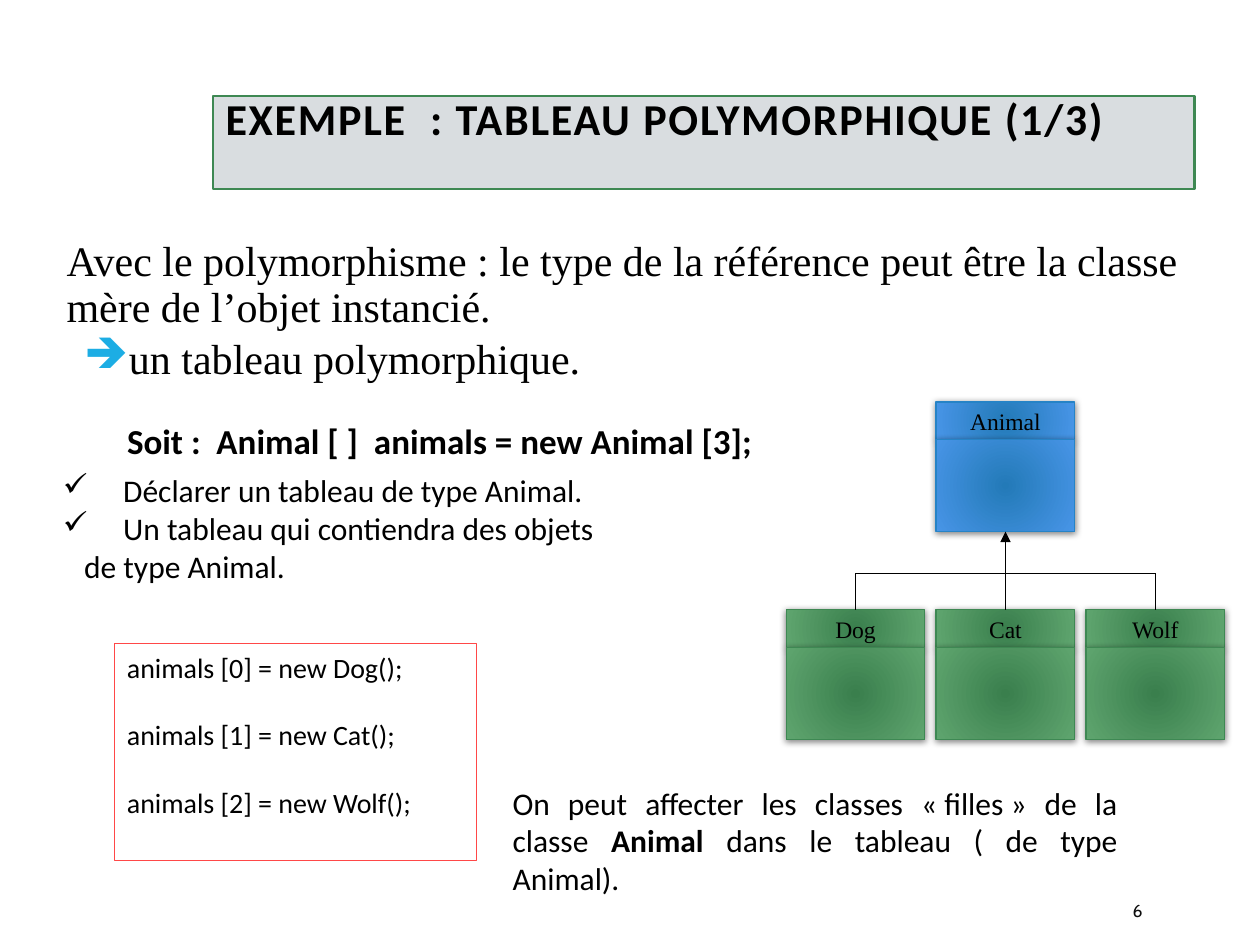
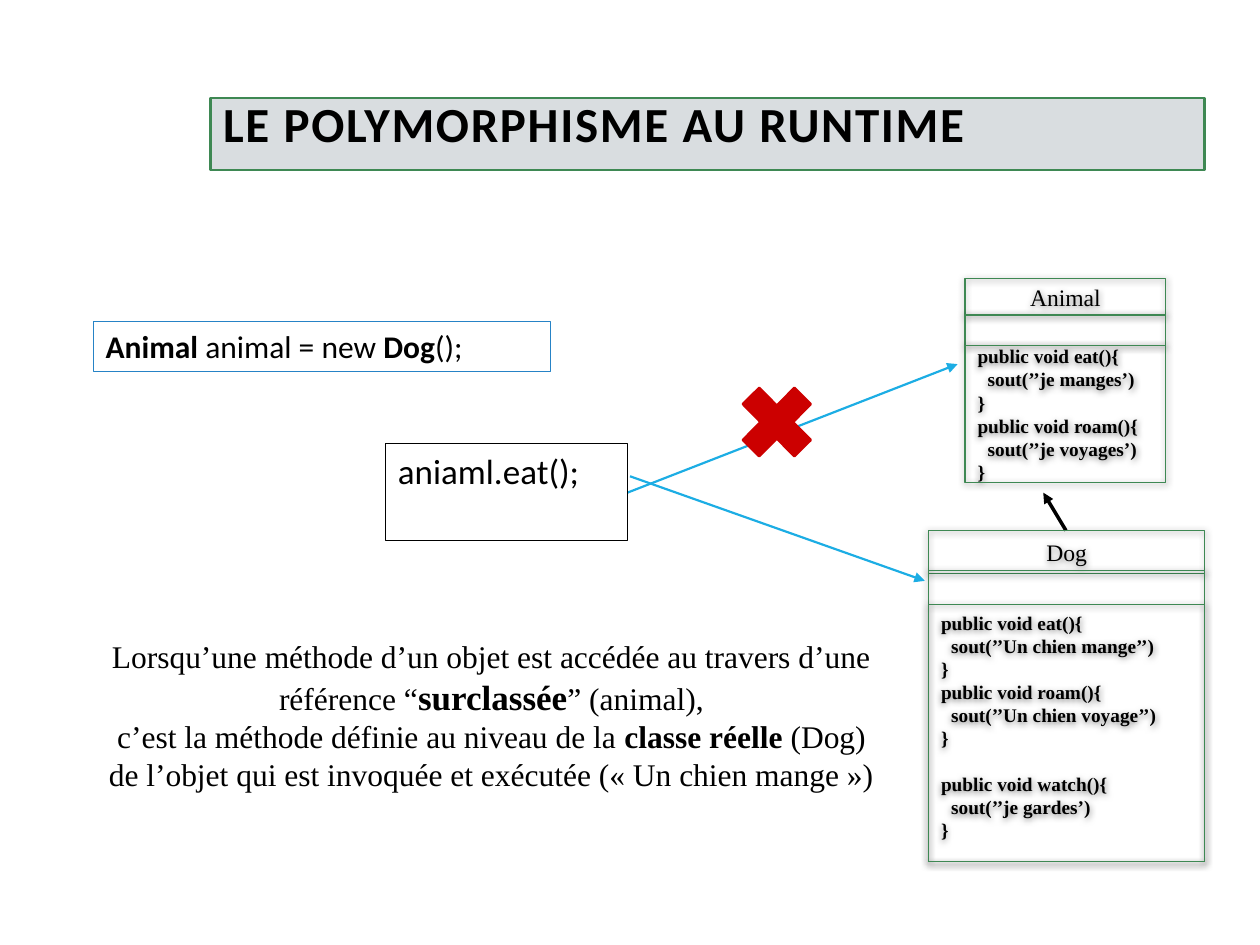
from dataclasses import dataclass

from lxml.etree import SubElement
from pptx import Presentation
from pptx.dml.color import RGBColor
from pptx.enum.shapes import MSO_CONNECTOR, MSO_SHAPE
from pptx.enum.text import MSO_ANCHOR as Anchor, MSO_AUTO_SIZE, PP_ALIGN as Align
from pptx.oxml.ns import qn
from pptx.util import Inches, Pt


@dataclass(frozen=True)
class Theme:
    black: str = "000000"
    number: str = "0D0D0D"
    grey: str = "A1ACB2"
    green: str = "3E8853"
    blue: str = "2683C6"
    cyan: str = "1CADE4"
    red: str = "FF4747"
    cross: str = "CC0000"
    green_fade: tuple = ("3A7F4D", "5FA56F")
    blue_fade: tuple = ("237AB8", "4895E7")
    sans: str = "Calibri"
    serif: str = "Times New Roman"
    number_font: str = "Cabin"
    lead: float = 24
    strong: float = 20
    body: float = 18
    sample: float = 16
    class_name: float = 13.5
    code: float = 11
    small: float = 10
    thin: float = 0.75
    medium: float = 1.25
    thick: float = 2


THEME = Theme()


def rgb(value):
    return RGBColor.from_string(value)


def inches(*values):
    return [Inches(value) for value in values]


def add_span(para, text, size, font, bold=False, color=THEME.black):
    span = para.add_run()
    span.text = text
    span.font.size = Pt(size)
    span.font.name = font
    span.font.bold = bold
    span.font.color.rgb = rgb(color)
    return span


def set_frame(box, anchor=Anchor.TOP):
    frame = box.text_frame
    frame.auto_size = MSO_AUTO_SIZE.NONE
    frame.word_wrap = True
    frame.vertical_anchor = anchor
    return frame


def write(box, paragraphs, size, font, align=Align.LEFT, anchor=Anchor.TOP,
          bold=False, color=THEME.black):
    """Each paragraph is a string or a list of (text, bold[, size]) spans."""
    frame = set_frame(box, anchor)
    for index, spans in enumerate(paragraphs):
        para = frame.add_paragraph() if index else frame.paragraphs[0]
        para.alignment = align
        if isinstance(spans, str):
            spans = [(spans, bold)]
        for text, is_bold, *own_size in spans:
            add_span(para, text, own_size[0] if own_size else size, font, is_bold, color)
    return frame.paragraphs


def indent(para, left, first=0, bullet=None, color=None):
    props = para._p.get_or_add_pPr()
    props.set("marL", str(Inches(left)))
    props.set("indent", str(Inches(first)))
    if color:
        SubElement(SubElement(props, qn("a:buClr")), qn("a:srgbClr"), val=color)
    if bullet:
        SubElement(props, qn("a:buChar"), char=bullet)


def add_text(page, place, paragraphs, size, font, **style):
    box = page.shapes.add_textbox(*inches(*place))
    return write(box, paragraphs, size, font, **style)


def add_box(shapes, place, line, width=THEME.thin, kind=MSO_SHAPE.RECTANGLE):
    box = shapes.add_shape(kind, *inches(*place))
    box.shadow.inherit = False
    box.fill.background()
    box.line.color.rgb = rgb(line)
    box.line.width = Pt(width)
    return box


def add_line(page, start, end, color=THEME.black, width=THEME.thin, arrow=False):
    line = page.shapes.add_connector(MSO_CONNECTOR.STRAIGHT, *inches(*start, *end))
    line.line.color.rgb = rgb(color)
    line.line.width = Pt(width)
    props = line._element.spPr
    if arrow:
        SubElement(props.find(qn("a:ln")), qn("a:tailEnd"), type="triangle")
    SubElement(props, qn("a:effectLst"))


def add_glow(box):
    """Soft shadow just below the box."""
    effects = box._element.spPr.find(qn("a:effectLst"))
    shadow = SubElement(effects, qn("a:outerShdw"), blurRad=str(Pt(4)),
                        dist=str(Pt(1)), dir="5400000", rotWithShape="0")
    color = SubElement(shadow, qn("a:srgbClr"), val=THEME.black)
    SubElement(color, qn("a:alpha"), val="50000")


def fade(box, colors):
    """Circular gradient."""
    box.fill.gradient()
    for stop, color in zip(box.fill.gradient_stops, colors):
        stop.color.rgb = rgb(color)
    gradient = box._element.spPr.find(qn("a:gradFill"))
    for linear in gradient.findall(qn("a:lin")):
        gradient.remove(linear)
    circle = SubElement(gradient, qn("a:path"), path="circle")
    SubElement(circle, qn("a:fillToRect"), l="100000", t="100000", r="100000", b="100000")


def add_class(page, name, left, width, rows, line=THEME.green, colors=None):
    """Class diagram: rows of (top, height), the name in the first one."""
    group = page.shapes.add_group_shape()
    boxes = []
    for top, height in rows:
        box = add_box(group.shapes, (left, top, width, height), line)
        add_glow(box)
        if colors:
            fade(box, colors)
        boxes.append(box)
    write(boxes[0], [name], THEME.class_name, THEME.serif, Align.CENTER, Anchor.MIDDLE)
    return boxes


def write_methods(box, methods, anchor):
    """Methods are (signature, statement) pairs; returns the paragraphs."""
    lines = [line for signature, statement in methods
             for line in (f"public void {signature}(){{", statement, "}")]
    paras = write(box, lines, THEME.code, THEME.serif, anchor=anchor, bold=True)
    for para in paras[1::3]:
        indent(para, 0.08)
    return paras


def add_page(deck, title, place, size):
    page = deck.slides.add_slide(deck.slide_layouts[5])
    band = page.shapes.title
    band.left, band.top, band.width, band.height = inches(*place)
    band.fill.solid()
    band.fill.fore_color.rgb = rgb(THEME.grey)
    color = band._element.spPr.find(qn("a:solidFill"))[0]
    SubElement(color, qn("a:alpha"), val="40000")
    band.line.color.rgb = rgb(THEME.green)
    band.line.width = Pt(THEME.medium)
    para = set_frame(band).paragraphs[0]
    para.alignment = Align.LEFT
    para.line_spacing = 0.8
    span = add_span(para, title, size, THEME.sans, True)
    span._r.get_or_add_rPr().set("spc", "100")
    return page


def build_array_page(deck):
    page = add_page(deck, "EXEMPLE  : TABLEAU POLYMORPHIQUE (1/3)",
                    (1.69, 0.76, 7.79, 0.74), 25.2)

    # Introduction
    intro = add_text(page, (0.43, 1.86, 9.1, 1.36), [
        "Avec le polymorphisme : le type de la référence peut être la classe "
        "mère de l’objet instancié.",
        "un tableau polymorphique."], THEME.lead, THEME.serif)
    for para in intro:
        para.line_spacing = 0.9
    intro[1].space_before = Pt(4)
    indent(intro[1], 0.29, -0.15, "➔", THEME.cyan)

    add_text(page, (8.89, 7.08, 0.8, 0.3), ["6"], THEME.small, THEME.number_font,
             anchor=Anchor.MIDDLE, color=THEME.number)

    # Declaration of the array
    add_text(page, (0.91, 3.28, 5.92, 0.44),
             ["Soit :  Animal [ ]  animals = new Animal [3];"],
             THEME.strong, THEME.sans, bold=True)

    # Class hierarchy
    width, header, body, step = 1.1, 0.3, 0.73, 1.19
    first, parent_top, child_top, bar = 6.24, 3.19, 4.84, 4.55

    def rows(top):
        return [(top, header), (top + header, body)]

    add_class(page, "Animal", first + step, width, rows(parent_top),
              THEME.blue, THEME.blue_fade)
    centers = [first + column * step + width / 2 for column in range(3)]
    for column, name in enumerate(("Dog", "Cat", "Wolf")):
        add_class(page, name, first + column * step, width, rows(child_top),
                  colors=THEME.green_fade)
        add_line(page, (centers[column], child_top), (centers[column], bar))
    add_line(page, (centers[2], bar), (centers[0], bar))
    add_line(page, (centers[1], bar), (centers[1], parent_top + header + body), arrow=True)

    # What the declaration does
    points = add_text(page, (0.4, 3.69, 7.13, 1.01), [
        "Déclarer un tableau de type Animal.",
        "Un tableau qui contiendra des objets",
        "de type Animal."], THEME.body, THEME.sans, align=Align.JUSTIFY)
    for para in points[:2]:
        indent(para, 0.48, -0.48, "✓")
    indent(points[2], 0.17)

    # Filling the array
    sample = add_box(page.shapes, (0.91, 5.11, 2.87, 1.72), THEME.red)
    lines = [f"animals [{index}] = new {name}();"
             for index, name in enumerate(("Dog", "Cat", "Wolf"))]
    for para in write(sample, lines, THEME.sample, THEME.sans)[1:]:
        para.space_before = Pt(19.5)

    add_text(page, (3.97, 6.17, 5, 1.01), [[
        ("On peut affecter les classes «\u00a0filles\u00a0» de la classe ", False),
        ("Animal", True),
        (" dans le tableau ( de type Animal).", False)]],
        THEME.body, THEME.sans, align=Align.JUSTIFY)


def build_runtime_page(deck):
    page = add_page(deck, "LE POLYMORPHISME AU RUNTIME", (1.67, 0.78, 7.89, 0.57), 28)

    # Classes and inheritance
    add_line(page, (8.46, 4.21), (8.28, 3.91), width=THEME.thick, arrow=True)
    dog = add_class(page, "Dog", 7.37, 2.19, [(4.21, 0.34), (4.53, 2.31), (4.8, 2.04)])
    paras = write_methods(dog[2], [
        ("eat", "sout(’’Un chien mange’’)"),
        ("roam", "sout(’’Un chien voyage’’)"),
        ("watch", "sout(’’je gardes’)")], Anchor.TOP)
    paras[6].space_before = Pt(12.65)
    animal = add_class(page, "Animal", 7.66, 1.59, [(2.21, 0.29), (2.5, 0.24), (2.74, 1.09)])
    write_methods(animal[2], [
        ("eat", "sout(’’je manges’)"),
        ("roam", "sout(’’je voyages’)")], Anchor.MIDDLE)

    # Instance and call
    instance = add_box(page.shapes, (0.74, 2.55, 3.63, 0.4), THEME.blue)
    write(instance, [[("Animal ", True), ("animal = new ", False),
                      ("Dog", True), ("();", False)]], THEME.body, THEME.sans)
    add_line(page, (4.98, 3.91), (7.6, 2.89), THEME.cyan, THEME.medium, arrow=True)
    call = add_box(page.shapes, (3.06, 3.52, 1.92, 0.77), THEME.black)
    write(call, ["aniaml.eat();"], THEME.strong, THEME.sans)
    add_line(page, (5, 3.78), (7.34, 4.61), THEME.cyan, THEME.medium, arrow=True)

    # Explanation
    add_text(page, (0.74, 5.01, 6.32, 1.35), [
        [("Lorsqu’une méthode d’un objet est accédée au travers d’une référence “", False),
         ("surclassée", True, THEME.strong), ("” (animal),", False)],
        [("c’est la méthode définie au niveau de la ", False), ("classe réelle ", True),
         ("(Dog) de l’objet qui est invoquée et exécutée "
          "(«\u00a0Un chien mange\u00a0»)", False)]],
        THEME.body, THEME.serif, align=Align.CENTER)

    # Cross over the call that is not made
    cross = add_box(page.shapes, (5.77, 2.95, 0.79, 0.8), THEME.cross, THEME.medium,
                    MSO_SHAPE.MATH_MULTIPLY)
    cross.fill.solid()
    cross.fill.fore_color.rgb = rgb(THEME.cross)


def main():
    deck = Presentation()
    deck.slide_width, deck.slide_height = inches(10, 7.5)
    build_array_page(deck)
    build_runtime_page(deck)
    deck.save("out.pptx")


main()
